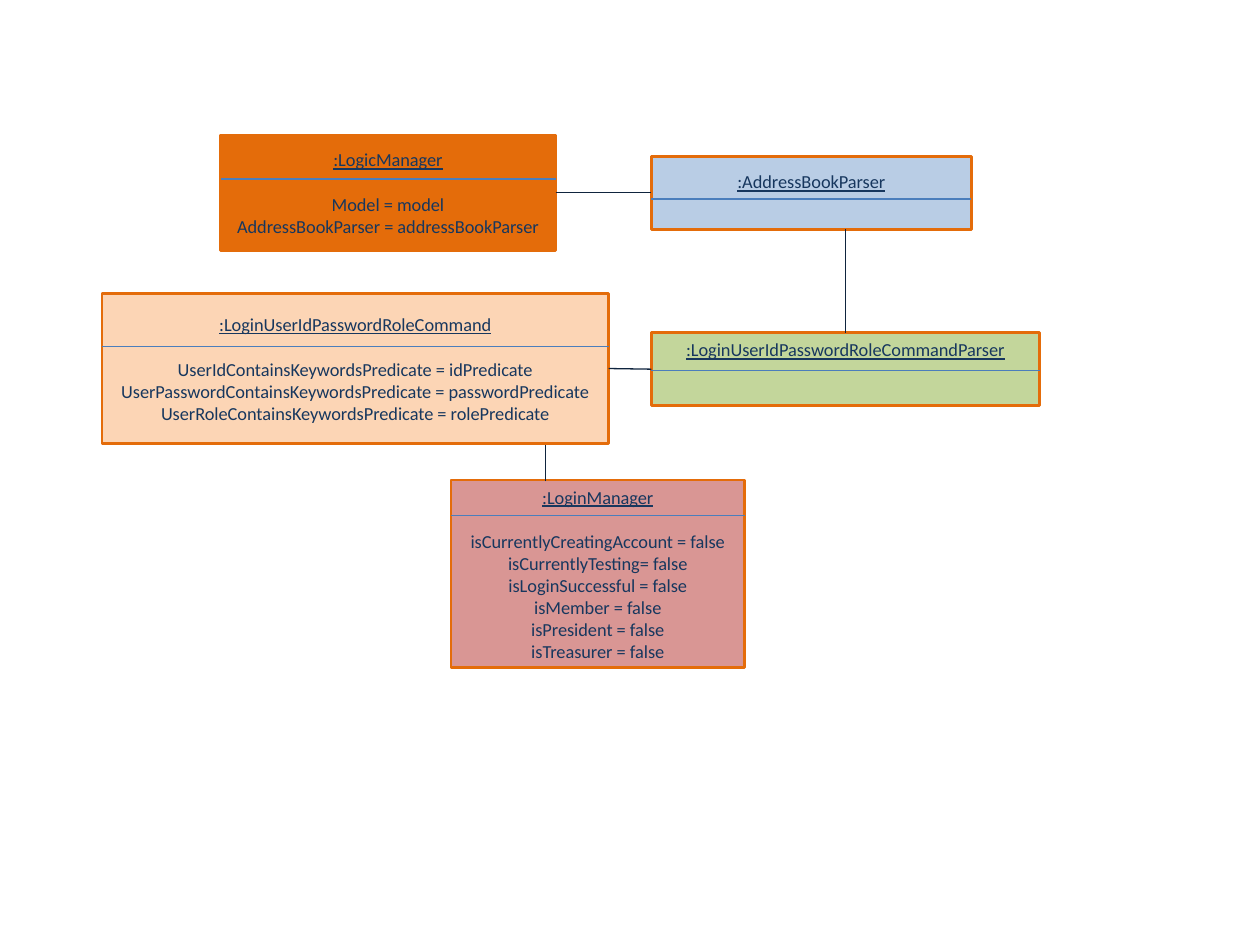
from dataclasses import dataclass
from typing import Optional

from lxml.etree import SubElement
from pptx import Presentation
from pptx.dml.color import RGBColor
from pptx.enum.shapes import MSO_CONNECTOR, MSO_SHAPE
from pptx.enum.text import MSO_ANCHOR, PP_ALIGN
from pptx.oxml.ns import qn
from pptx.util import Inches, Pt


@dataclass(frozen=True)
class Theme:
    font: str = "Calibri"
    size: float = 10.5
    gap: float = 12.8  # one line between title and fields
    text: str = "17375E"
    border: str = "E46C0A"
    divider: str = "4B7EBC"
    link: str = "0F243E"
    border_width: float = 1.5
    line_width: float = 0.75


THEME = Theme()
TOP, LEFT, BOTTOM, RIGHT = range(4)


@dataclass(frozen=True)
class ObjectBox:
    title: str
    left: float
    top: float
    width: float
    height: float
    divider: float
    fill: str
    fields: tuple[str, ...] = ()
    bottom_inset: float = 0.05


@dataclass(frozen=True)
class Link:
    start: tuple[float, float]
    end: tuple[float, float]
    start_side: Optional[tuple[str, int]] = None
    end_side: Optional[tuple[str, int]] = None


BOXES = (
    ObjectBox(":LogicManager", 1.75, 1.07, 2.66, 0.92, 1.42, "E46C0A",
              ("Model = model", "AddressBookParser = addressBookParser")),
    ObjectBox(":AddressBookParser", 5.17, 1.24, 2.54, 0.58, 1.58, "B9CDE5",
              bottom_inset=0.23),
    ObjectBox(":LoginUserIdPasswordRoleCommandParser", 5.17, 2.64, 3.08, 0.58,
              2.94, "C3D69B", bottom_inset=0.36),
    ObjectBox(":LoginUserIdPasswordRoleCommand", 0.81, 2.33, 4.02, 1.19,
              2.75, "FCD5B5",
              ("UserIdContainsKeywordsPredicate = idPredicate",
               "UserPasswordContainsKeywordsPredicate = passwordPredicate",
               "UserRoleContainsKeywordsPredicate = rolePredicate")),
    ObjectBox(":LoginManager", 3.58, 3.81, 2.33, 1.49, 4.09, "D99694",
              ("isCurrentlyCreatingAccount = false",
               "isCurrentlyTesting= false",
               "isLoginSuccessful = false",
               "isMember = false",
               "isPresident = false",
               "isTreasurer = false")),
)

LINKS = (
    Link((4.41, 1.53), (5.17, 1.53),
         (":LogicManager", RIGHT), (":AddressBookParser", LEFT)),
    Link((5.17, 2.93), (4.83, 2.93),
         (":LoginUserIdPasswordRoleCommandParser", LEFT),
         (":LoginUserIdPasswordRoleCommand", RIGHT)),
    Link((6.71, 2.64), (6.71, 1.82),
         (":LoginUserIdPasswordRoleCommandParser", TOP)),
    Link((4.33, 3.82), (4.33, 3.53)),
)


def apply_format(target, values: dict) -> None:
    for name, value in values.items():
        setattr(target, name, value)


def add_line(page, start: tuple[float, float], end: tuple[float, float],
             color: str):
    line = page.shapes.add_connector(
        MSO_CONNECTOR.STRAIGHT, *map(Inches, (*start, *end)))
    line.line.color.rgb = RGBColor.from_string(color)
    line.line.width = Pt(THEME.line_width)
    SubElement(line._element.spPr, qn("a:effectLst"))
    return line


def add_object_box(page, item: ObjectBox):
    box = page.shapes.add_shape(
        MSO_SHAPE.RECTANGLE,
        *map(Inches, (item.left, item.top, item.width, item.height)))
    box.shadow.inherit = False
    box.fill.solid()
    box.fill.fore_color.rgb = RGBColor.from_string(item.fill)
    box.line.color.rgb = RGBColor.from_string(THEME.border)
    box.line.width = Pt(THEME.border_width)

    # Underlined title, then the fields
    frame = box.text_frame
    apply_format(frame, {
        "word_wrap": True,
        "vertical_anchor": MSO_ANCHOR.MIDDLE,
        "margin_bottom": Inches(item.bottom_inset),
    })
    for index, text in enumerate((item.title, *item.fields)):
        para = frame.add_paragraph() if index else frame.paragraphs[0]
        para.alignment = PP_ALIGN.CENTER
        if index == 1:
            para.space_before = Pt(THEME.gap)
        span = para.add_run()
        span.text = text
        apply_format(span.font, {
            "name": THEME.font,
            "size": Pt(THEME.size),
            "underline": index == 0,
        })
        span.font.color.rgb = RGBColor.from_string(THEME.text)

    add_line(page, (item.left, item.divider),
             (item.left + item.width, item.divider), THEME.divider)
    return box


def add_link(page, link: Link, boxes: dict) -> None:
    line = add_line(page, link.start, link.end, THEME.link)
    for side, connect in ((link.start_side, line.begin_connect),
                          (link.end_side, line.end_connect)):
        if side:
            title, site = side
            connect(boxes[title], site)


def main() -> None:
    deck = Presentation()
    deck.slide_width, deck.slide_height = Inches(10), Inches(7.5)
    page = deck.slides.add_slide(deck.slide_layouts[6])

    # Objects, then the links between them
    boxes = {item.title: add_object_box(page, item) for item in BOXES}
    for link in LINKS:
        add_link(page, link, boxes)

    deck.save("out.pptx")


if __name__ == "__main__":
    main()
